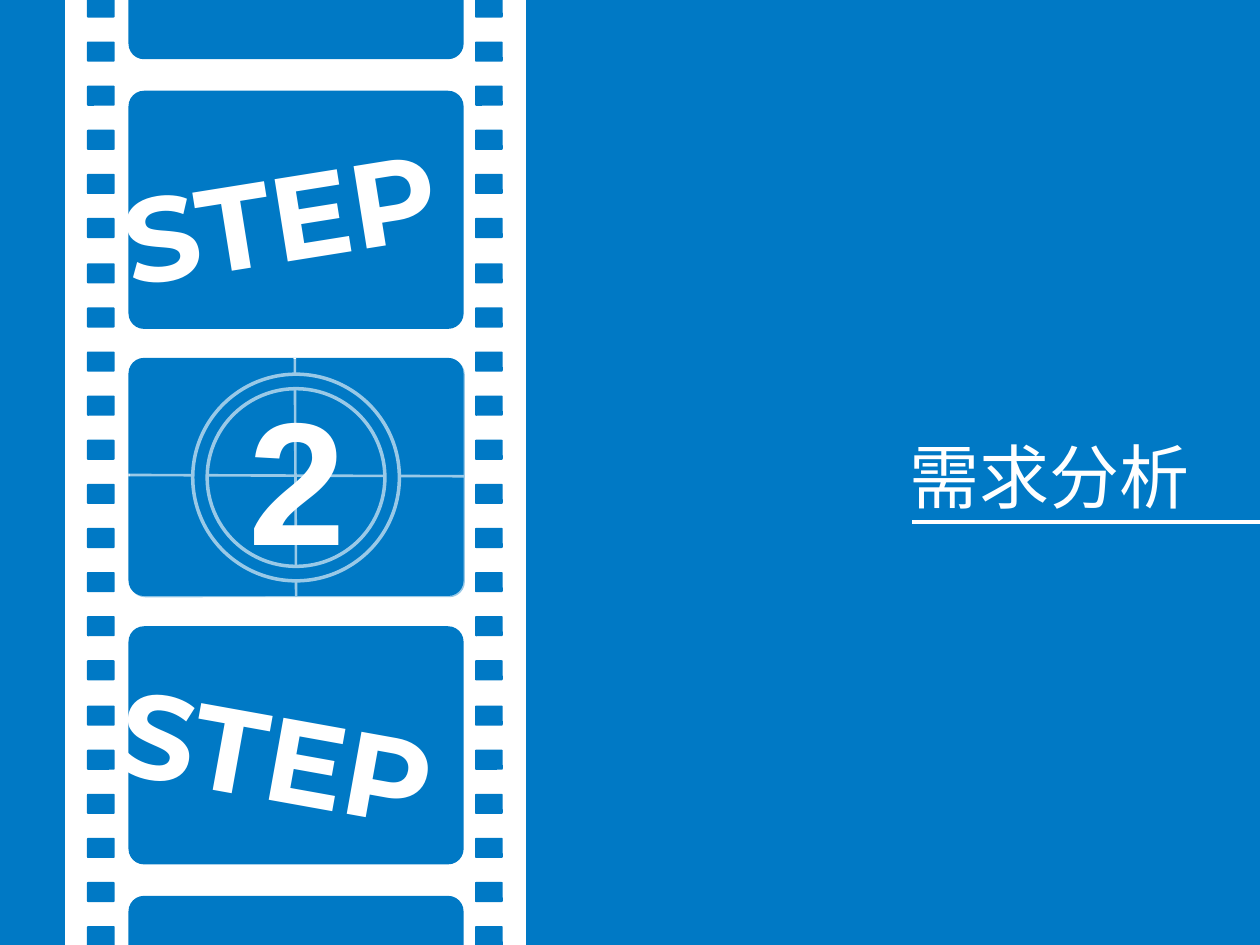
from lxml import etree
from pptx import Presentation
from pptx import util as u
from pptx.dml.color import RGBColor
from pptx.enum import shapes, text
from pptx.oxml import ns

BLUE = RGBColor(0x00, 0x79, 0xC5)
WHITE = RGBColor(0xFF, 0xFF, 0xFF)

deck = Presentation()
deck.slide_width, deck.slide_height = u.Inches(10), u.Inches(7.5)
slide = deck.slides.add_slide(deck.slide_layouts[6])
slide.background.fill.solid()
slide.background.fill.fore_color.rgb = BLUE


def add_block(kind, box, fill, corner=None, line_width=None):
    block = slide.shapes.add_shape(kind, *map(u.Inches, box))
    block.shadow.inherit = False
    block.fill.solid()
    block.fill.fore_color.rgb = fill
    if corner is not None:
        block.adjustments[0] = corner
    if line_width is None:
        block.line.fill.background()
    else:
        block.line.color.rgb = WHITE
        block.line.width = u.Pt(line_width)
    return block


def add_label(words, box, size, font_name, bold=False, rotation=0):
    label = slide.shapes.add_textbox(*map(u.Inches, box))
    label.rotation = rotation
    label.text_frame.word_wrap = True
    label.text_frame.auto_size = text.MSO_AUTO_SIZE.SHAPE_TO_FIT_TEXT
    run = label.text_frame.paragraphs[0].add_run()
    run.text = words
    style = {"name": font_name, "size": u.Pt(size), "bold": bold}
    for key, value in style.items():
        setattr(run.font, key, value)
    run.font.color.rgb = WHITE
    east_asian = etree.SubElement(run.font._element, ns.qn("a:ea"))
    east_asian.set("typeface", font_name)


ROUNDED = shapes.MSO_SHAPE.ROUNDED_RECTANGLE

add_block(shapes.MSO_SHAPE.RECTANGLE, (0.55, -0.15, 3.59, 7.81), WHITE, line_width=4.5)

for hole_left in (0.69, 3.77):
    for row in range(22):
        hole_top = round(-0.02 + row * 7.37 / 21, 2)
        add_block(ROUNDED, (hole_left, hole_top, 0.22, 0.16), BLUE, 0.06)

for frame_top in (-1.42, 0.72, 2.84, 4.97, 7.11):
    add_block(ROUNDED, (1.02, frame_top, 2.66, 1.89), BLUE, 0.065)

add_label("STEP", (0.87, 1.03, 3.45, 1.25), 68, "Montserrat", True, 350.9)
add_label("STEP", (0.84, 5.43, 3.45, 1.24), 68, "Montserrat", True, 10.2)


rules = {
    "crosshair across": ((1.02, 3.77, 3.77, 3.78), 1.5),
    "crosshair down": ((2.34, 2.84, 2.35, 4.73), 1.5),
    "title underline": ((7.24, 4.14, 10, 4.14), 2.25),
}
for ends, width in rules.values():
    rule = slide.shapes.add_connector(shapes.MSO_CONNECTOR.STRAIGHT, *map(u.Inches, ends))
    rule.line.color.rgb = WHITE
    rule.line.width = u.Pt(width)
    etree.SubElement(rule._element.spPr, ns.qn("a:effectLst"))

add_block(shapes.MSO_SHAPE.DONUT, (1.53, 2.97, 1.64, 1.64), BLUE, 0.07, 2)

veil = add_block(ROUNDED, (1.03, 2.85, 2.66, 1.89), BLUE, 0.065)
veil_color = veil._element.spPr.find(ns.qn("a:solidFill")).find(ns.qn("a:srgbClr"))
etree.SubElement(veil_color, ns.qn("a:alpha")).set("val", "40000")

add_label("2", (1.87, 2.89, 1.95, 1.78), 100, "Arial", True)
add_label("需求分析", (7.12, 3.39, 3.27, 0.77), 40, "Noto Sans CJK SC")

deck.save("out.pptx")
